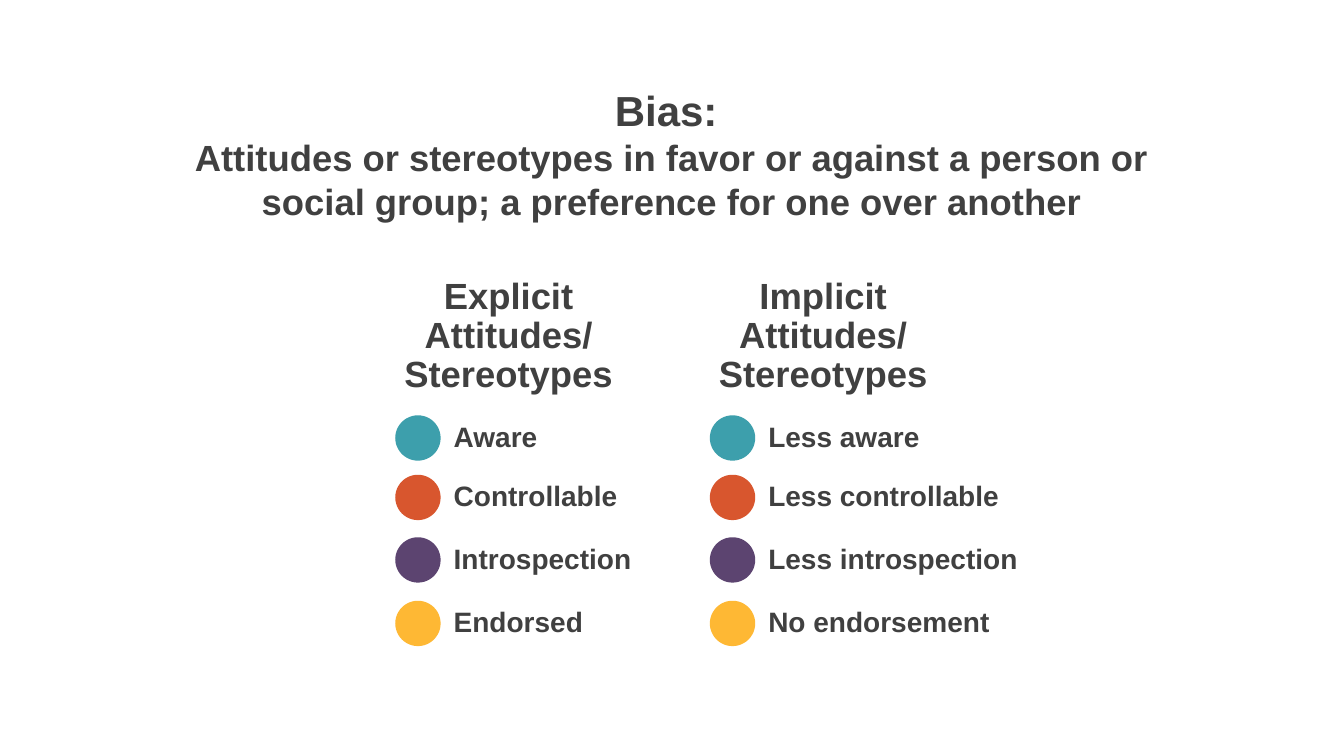
from pptx import Presentation
from pptx.dml.color import RGBColor
from pptx.enum.shapes import MSO_SHAPE
from pptx.enum.text import MSO_ANCHOR, MSO_AUTO_SIZE, PP_ALIGN
from pptx.util import Inches, Pt

OVAL = MSO_SHAPE.OVAL
TOP, MIDDLE = MSO_ANCHOR.TOP, MSO_ANCHOR.MIDDLE
LEFT, CENTER = PP_ALIGN.LEFT, PP_ALIGN.CENTER
FIXED = MSO_AUTO_SIZE.NONE

TITLE_ONLY = 5
INK = "404040"
DOT_COLORS = ("3D9FAC", "D8562E", "5C4470", "FEB834")
DOT_TOPS = (0.96, 1.55, 2.17, 2.8)
DOT_SIZE = 0.45
LABEL_INDENT, LABEL_HEIGHT = 0.58, 0.36
HEADING_WIDTH, HEADING_HEIGHT = 2.25, 0.36
COLUMNS_LEFT, COLUMNS_TOP, COLUMN_STEP = 3.92, 3.16, 3.12

TITLE = (
    ("Bias: ", 30),
    ("Attitudes or stereotypes in favor or against a person or social group; "
     "a preference for one over another", 26),
)
COLUMNS = (
    ("Explicit Attitudes/", 1.94,
     ("Aware", "Controllable", "Introspection", "Endorsed")),
    ("Implicit Attitudes/", 3.04,
     ("Less aware", "Less controllable", "Less introspection", "No endorsement")),
)


def color(value):
    return RGBColor.from_string(value)


def apply(target, values):
    for name, value in values.items():
        setattr(target, name, value)


def write(frame, lines, align, spacing):
    """Fill a text frame with (text, size) paragraphs."""
    for index, (text, size) in enumerate(lines):
        para = frame.add_paragraph() if index else frame.paragraphs[0]
        apply(para, {"alignment": align, "line_spacing": spacing})
        span = para.add_run()
        span.text = text
        apply(span.font, {"name": "Arial", "size": Pt(size), "bold": True})
        span.font.color.rgb = color(INK)


def add_text(page, box, lines, align):
    frame = page.shapes.add_textbox(*map(Inches, box)).text_frame
    apply(frame, {"word_wrap": True, "auto_size": FIXED, "vertical_anchor": MIDDLE,
                  "margin_left": 0, "margin_right": 0,
                  "margin_top": 0, "margin_bottom": 0})
    write(frame, lines, align, 0.9)


def add_dot(page, left, top, fill):
    dot = page.shapes.add_shape(OVAL, *map(Inches, (left, top, DOT_SIZE, DOT_SIZE)))
    dot.shadow.inherit = False
    dot.fill.solid()
    dot.fill.fore_color.rgb = color(fill)
    dot.line.fill.background()


def fill_title(page, left, top, width, height):
    title = page.shapes.title
    apply(title, {"left": Inches(left), "top": Inches(top),
                  "width": Inches(width), "height": Inches(height)})
    apply(title.text_frame, {"word_wrap": True, "auto_size": FIXED,
                             "vertical_anchor": TOP})
    write(title.text_frame, TITLE, CENTER, 1.0)


def add_column(page, left, top, heading, label_width, labels):
    """Place a heading above a list of labels marked by coloured dots."""
    add_text(page, (left, top, HEADING_WIDTH, HEADING_HEIGHT),
             ((heading, 26), ("Stereotypes", 26)), CENTER)
    label_drop = (DOT_SIZE - LABEL_HEIGHT) / 2
    for label, fill, offset in zip(labels, DOT_COLORS, DOT_TOPS):
        add_dot(page, left, top + offset, fill)
        add_text(page, (left + LABEL_INDENT, top + offset + label_drop,
                        label_width, LABEL_HEIGHT), ((label, 20),), LEFT)


def main():
    deck = Presentation()
    deck.slide_width, deck.slide_height = Inches(13.33), Inches(7.5)
    page = deck.slides.add_slide(deck.slide_layouts[TITLE_ONLY])
    fill_title(page, 1.54, 0.79, 10.25, 1.48)
    for index, column in enumerate(COLUMNS):
        add_column(page, COLUMNS_LEFT + index * COLUMN_STEP, COLUMNS_TOP, *column)
    deck.save("out.pptx")


if __name__ == "__main__":
    main()
